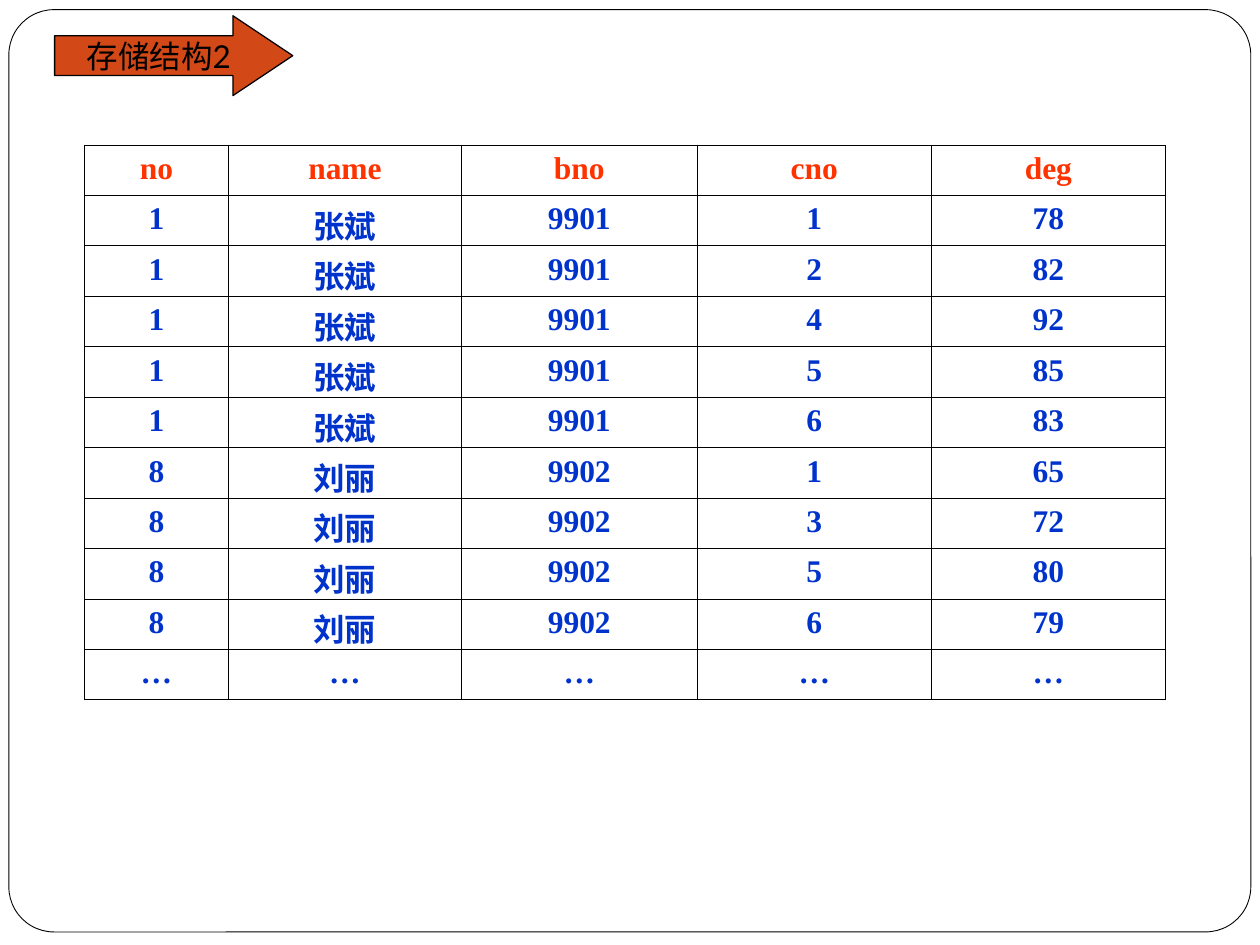
from lxml.etree import SubElement
from pptx import Presentation
from pptx.dml.color import RGBColor
from pptx.enum.shapes import MSO_SHAPE as Shape
from pptx.enum.text import MSO_ANCHOR as Anchor, PP_ALIGN as Align
from pptx.oxml.ns import qn
from pptx.util import Pt

TITLE = "存储结构2"
HEAD = ["no", "name", "bno", "cno", "deg"]
STUDENTS = [
    ("1", "张斌", "9901", [("1", "78"), ("2", "82"), ("4", "92"), ("5", "85"), ("6", "83")]),
    ("8", "刘丽", "9902", [("1", "65"), ("3", "72"), ("5", "80"), ("6", "79")]),
]
WIDTHS = [82.3, 133.2, 134.64, 133.92, 133.7]
ROW = 28.85
BLACK, WHITE, RUST, RED, BLUE = "000000", "FFFFFF", "D34817", "FF3300", "0033CC"


def color(code):
    return RGBColor.from_string(code)


def add_shape(slide, kind, box, adjust, fill, line):
    shape = slide.shapes.add_shape(kind, *map(Pt, box))
    shape.shadow.inherit = False
    for i, value in enumerate(adjust):
        shape.adjustments[i] = value
    shape.fill.solid()
    shape.fill.fore_color.rgb = color(fill)
    shape.line.color.rgb = color(BLACK)
    shape.line.width = Pt(line)
    return shape


def write(frame, text, face, ink, bold=False):
    par = frame.paragraphs[0]
    par.text = text
    par.alignment = Align.CENTER
    par.font.name = face
    par.font.size = Pt(18)
    par.font.bold = bold
    par.font.color.rgb = color(ink)


def add_border(cell, width):
    props = cell._tc.get_or_add_tcPr()
    for i, side in enumerate(("lnL", "lnR", "lnT", "lnB")):
        line = props.makeelement(qn("a:" + side), {"w": str(Pt(width))})
        fill = SubElement(line, qn("a:solidFill"))
        SubElement(fill, qn("a:srgbClr"), val=BLACK)
        props.insert(i, line)


def add_table(slide, rows, left, top):
    size = len(rows), len(WIDTHS)
    area = left, top, sum(WIDTHS), ROW * len(rows)
    table = slide.shapes.add_table(*size, *map(Pt, area)).table
    for col, width in zip(table.columns, WIDTHS):
        col.width = Pt(width)
    for r, row in enumerate(rows):
        table.rows[r].height = Pt(ROW)
        for c, text in enumerate(row):
            cell = table.cell(r, c)
            # tall Chinese lines must not stretch the row
            cell.margin_bottom = Pt(-1.5 if HEAD[c] == "name" else 3.6)
            cell.fill.solid()
            cell.fill.fore_color.rgb = color(WHITE)
            add_border(cell, 0.45)
            write(cell.text_frame, text, "Times New Roman", BLUE if r else RED, True)


def main():
    deck = Presentation()
    deck.slide_width, deck.slide_height = Pt(720), Pt(540)
    slide = deck.slides.add_slide(deck.slide_layouts[6])

    add_shape(slide, Shape.ROUNDED_RECTANGLE, (5.04, 5.5, 709.7, 527.04), [0.049], WHITE, 0.5)
    arrow = add_shape(slide, Shape.RIGHT_ARROW, (31.2, 9, 136.08, 45.6), [0.5, 0.749], RUST, 0.75)
    frame = arrow.text_frame
    frame.word_wrap = False
    frame.vertical_anchor = Anchor.MIDDLE
    write(frame, TITLE, "Lato", BLACK)

    marks = [(no, name, bno, *mark) for no, name, bno, pairs in STUDENTS for mark in pairs]
    add_table(slide, [HEAD, *marks, ["…"] * len(HEAD)], 48.24, 82.8)
    deck.save("out.pptx")


if __name__ == "__main__":
    main()
